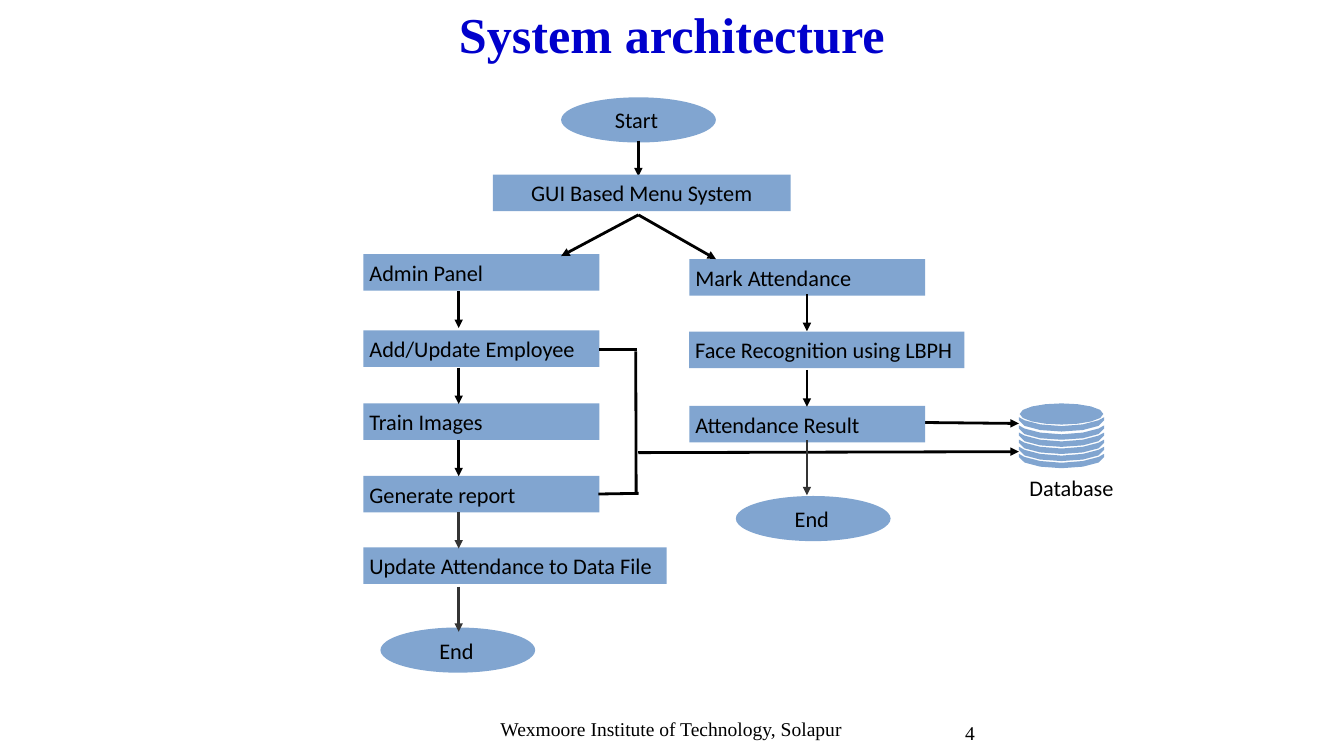
import math

from lxml import etree
from pptx import Presentation
from pptx import util as u
from pptx.dml import color
from pptx.enum import shapes, text
from pptx.oxml import ns

WIDTH, HEIGHT = 964, 540
BLUE, BLACK, GREY, TITLE_BLUE = "81A5D0", "000000", "343434", "0000CC"
STEP_HEIGHT = 26.2
OVAL_WIDTH, OVAL_HEIGHT = 111, 32.4
LEFT, CENTER, RIGHT = text.PP_ALIGN.LEFT, text.PP_ALIGN.CENTER, text.PP_ALIGN.RIGHT
STEP_TEXT = {"size": u.Pt(16), "name": "Calibri"}
FOOTER_TEXT = {"size": u.Pt(14), "name": "Times New Roman"}
TITLE_TEXT = {"size": u.Pt(36), "name": "Times New Roman", "bold": True}


def points(*values):
    return [u.Pt(value) for value in values]


def paint(target, shade):
    target.rgb = color.RGBColor.from_string(shade)


def fill_plain(shape):
    shape.shadow.inherit = False
    shape.fill.solid()
    paint(shape.fill.fore_color, BLUE)
    shape.line.fill.background()


def write(shape, words, font, align=LEFT, shade=BLACK, inset=4.3):
    frame = shape.text_frame
    layout = {"word_wrap": True, "vertical_anchor": text.MSO_ANCHOR.MIDDLE}
    for side in ("left", "right", "top", "bottom"):
        layout["margin_" + side] = u.Pt(inset)
    for name, value in layout.items():
        setattr(frame, name, value)
    para = frame.paragraphs[0]
    para.alignment = align
    span = para.add_run()
    span.text = words
    for name, value in font.items():
        setattr(span.font, name, value)
    paint(span.font.color, shade)


def label(page, box, words, font, align=CENTER, shade=BLACK, inset=4.3):
    write(page.shapes.add_textbox(*points(*box)), words, font, align, shade, inset)


def node(page, kind, box, words, align=LEFT):
    shape = page.shapes.add_shape(kind, *points(*box))
    fill_plain(shape)
    write(shape, words, STEP_TEXT, align)
    return shape


def step(page, box, words, align=LEFT):
    node(page, shapes.MSO_SHAPE.RECTANGLE, box, words, align)


def terminal(page, left, top, words, indent):
    box = (left, top, OVAL_WIDTH, OVAL_HEIGHT)
    shape = node(page, shapes.MSO_SHAPE.OVAL, box, words)
    shape.text_frame.margin_left = u.Pt(indent)


def line(page, start, end, shade=BLACK, arrow=True):
    link = page.shapes.add_connector(shapes.MSO_CONNECTOR.STRAIGHT, *points(*start, *end))
    link.line.width = u.Pt(2)
    paint(link.line.color, shade)
    if arrow:
        etree.SubElement(link.line._get_or_add_ln(), ns.qn("a:tailEnd"), type="triangle")
    etree.SubElement(link._element.spPr, ns.qn("a:effectLst"))


def title(page, left, top, width, height):
    label(page, (left, top, width, height), "System architecture",
          TITLE_TEXT, CENTER, TITLE_BLUE)


def footer(page, left, top):
    label(page, (left, top, 305, 28.8), "Wexmoore Institute of Technology, Solapur",
          FOOTER_TEXT, inset=7.2)
    label(page, (left + 153, top + 3, 224.4, 28.8), "4", FOOTER_TEXT, RIGHT, inset=7.2)


def entry(page, left, top):
    middle = left + 104.4
    terminal(page, left + 49, top, "Start", 22.3)
    line(page, (middle, top + 31), (middle, top + 56.7))
    step(page, (left, top + 55.5, 213.6, STEP_HEIGHT), "GUI Based Menu System", CENTER)
    fork = top + 84.3
    line(page, (middle, fork), (left + 49, fork + 29.5))
    line(page, (middle, fork), (left + 160, fork + 31.7))


def branch(page, left, top, steps, axis, end_left, end_top):
    for words, drop, width, lead, reach, shade in steps:
        step(page, (left, top + drop, width, STEP_HEIGHT), words)
    terminal(page, left + end_left, top + end_top, "End", 26)
    for words, drop, width, lead, reach, shade in steps:
        start = top + drop + STEP_HEIGHT + lead
        line(page, (left + axis, start), (left + axis, start + reach), shade)


def bracket(page, left, top, width, height):
    right = left + width
    line(page, (left, top), (right + 1, top), arrow=False)
    line(page, (right, top + 1.4), (right + 0.3, top + height), arrow=False)
    line(page, (left - 0.6, top + height + 0.5), (right + 2, top + height), arrow=False)


def database(page, left, top, width):
    middle, radius = left + width / 2, width / 2
    half = [math.pi * turn / 6 for turn in range(7)]
    whole = [math.pi * turn / 8 for turn in range(16)]

    def arc(start, depth, power=1.0):
        return [points(middle - radius * math.cos(turn),
                       start + depth * abs(math.sin(turn)) ** power) for turn in half]

    outlines = [[points(middle - (radius - 0.6) * math.cos(turn),
                        top + 7.6 + 7.6 * math.sin(turn)) for turn in whole]]
    for start in [9.9] + [15.8 + 5.1 * band for band in range(5)]:
        outlines.append(arc(top + start, 6.4, 1.5) + arc(top + start + 2.2, 8.1)[::-1])

    builder = page.shapes.build_freeform(*outlines[0][0])
    builder.add_line_segments(outlines[0][1:])
    for outline in outlines[1:]:
        builder.move_to(*outline[0])
        builder.add_line_segments(outline[1:])
    fill_plain(builder.convert_to_shape())

    line(page, (left - 67.6, top + 13.7), (left, top + 14.4))
    line(page, (left - 273, top + 35.3), (left, top + 34.6))
    label(page, (left + 1.4, top + 46.4, 72.7, 27.4), "Database", STEP_TEXT, inset=0)


def main():
    deck = Presentation()
    deck.slide_width, deck.slide_height = points(WIDTH, HEIGHT)
    page = deck.slides.add_slide(deck.slide_layouts[6])
    admin_steps = [
        ("Admin Panel", 0, 169.2, 0.4, 26.4, BLACK),
        ("Add/Update Employee", 54.7, 169.2, 0.4, 26.2, BLACK),
        ("Train Images", 107, 169.2, -0.2, 26.2, BLACK),
        ("Generate report", 159, 169.2, -0.3, 26.2, GREY),
        ("Update Attendance to Data File", 210.3, 217.4, 1.9, 32.4, GREY),
    ]
    attendance_steps = [
        ("Mark Attendance", 0, 169.2, -1, 26.4, BLACK),
        ("Face Recognition using LBPH", 52, 197.3, 1.2, 26.4, BLACK),
        ("Attendance Result", 105.2, 169.2, -1.7, 39.6, GREY),
    ]
    title(page, 0, 3.6, WIDTH, 40.3)
    footer(page, 329, 508.3)
    database(page, 730.8, 289.3, 61.2)
    branch(page, 260.7, 182.3, admin_steps, 68.3, 12.2, 267.7)
    branch(page, 494.4, 185.9, attendance_steps, 84.4, 33.4, 169.8)
    bracket(page, 429.8, 250.6, 26.2, 103.2)
    entry(page, 353.5, 69.8)
    deck.save("out.pptx")


if __name__ == "__main__":
    main()
